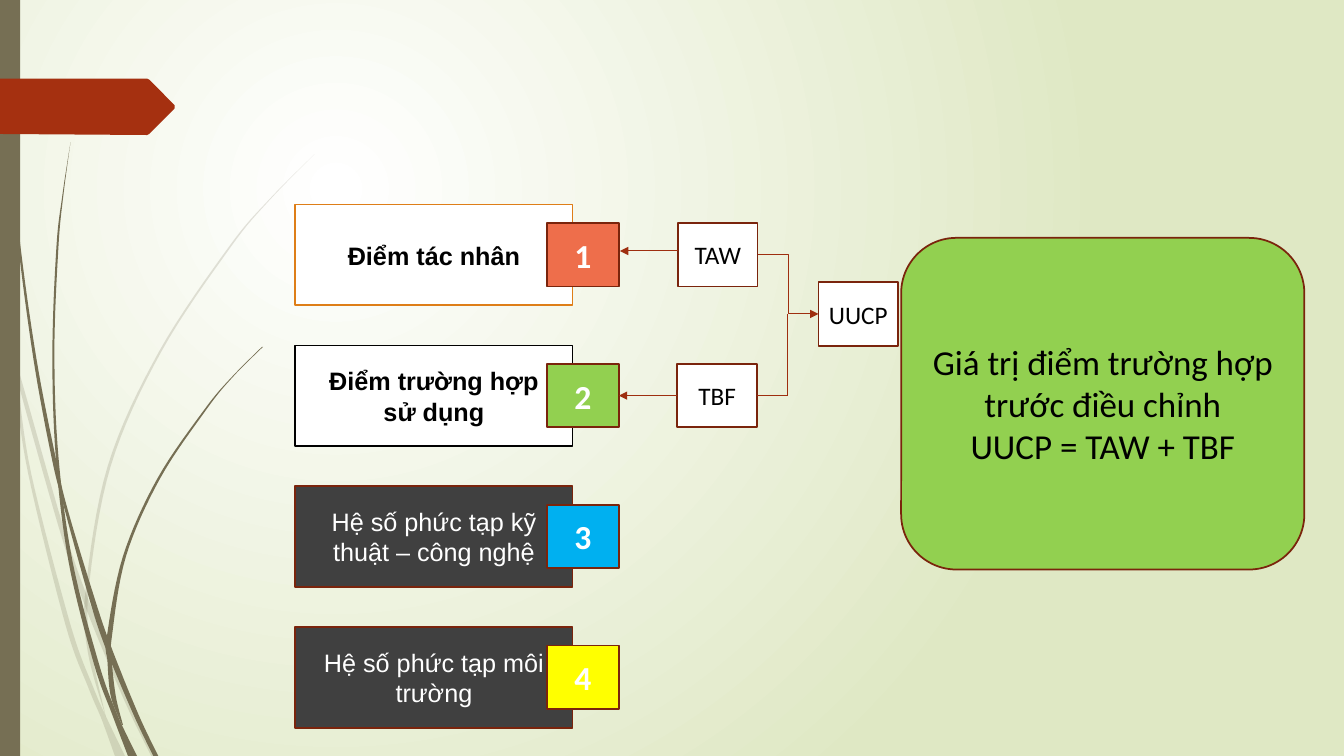
from lxml.etree import SubElement
from pptx import Presentation
from pptx.dml.color import RGBColor
from pptx.enum.shapes import MSO_CONNECTOR as LINK, MSO_SHAPE as SHAPE
from pptx.enum.text import MSO_ANCHOR as ANCHOR, PP_ALIGN as ALIGN
from pptx.oxml.ns import qn
from pptx.util import Inches, Pt

COLUMNS, ROWS = 40, 30
TOP, LEFT, BOTTOM, RIGHT = range(4)
OLIVE, RUST, MAROON, LINK_RED = "766F54", "A53010", "7A240C", "9E2E0F"
BLACK, WHITE, GREEN, CHARCOAL = "000000", "FFFFFF", "92D050", "404040"

PALE_BLADES = [
    [(11.28, 0, 0), (13.76, 0.3, 0.32), (15.04, 0.51, 0.63), (20.88, 1.74, 1.88),
     (24, 2.52, 2.69), (27.76, 3.69, 3.84), (30, 4.5, 4.65)],
    [(14, 0.33, 0.33), (15.04, 0.42, 0.51), (18.8, 0.84, 0.93), (24.8, 1.95, 2.1),
     (27.32, 2.64, 2.79), (28.56, 3.03, 3.2), (30, 3.42, 3.72)],
    [(6.12, 9.36, 9.36), (7.92, 8.01, 8.04), (9.8, 6.81, 6.87), (13.96, 4.73, 4.8),
     (18.48, 3.21, 3.3), (23.4, 2.55, 2.64), (25.84, 2.61, 2.73), (28.44, 3.15, 3.15)],
]
DARK_BLADES = [
    [(0, 0.09, 0.12), (4.4, 0.21, 0.24), (9.32, 0.51, 0.57), (14.2, 0.99, 1.08),
     (18.12, 1.53, 1.65), (20.2, 1.92, 2.01), (23.68, 2.64, 2.8), (25.64, 3.12, 3.3),
     (28.32, 3.96, 4.11), (30, 4.56, 4.71)],
    [(5.64, 2.1, 2.1), (7.72, 1.86, 1.89), (9.8, 1.68, 1.74), (13.96, 1.56, 1.62),
     (18.12, 1.66, 1.74), (22.28, 2.04, 2.16), (26.32, 2.79, 2.94), (28.32, 3.33, 3.48),
     (30, 3.81, 4.08)],
    [(13.76, 7.8, 7.83), (14.96, 6.9, 6.93), (16.24, 6.09, 6.15), (19, 4.68, 4.76),
     (22.08, 3.66, 3.75), (25.28, 3.18, 3.33), (26.24, 3.2, 3.33), (27.64, 3.3, 3.45),
     (28.76, 3.63, 3.66)],
]
TAG = [(0, 3.12), (4.38, 3.12), (4.44, 3.16), (5.2, 4.18), (5.2, 4.3),
       (4.44, 5.32), (4.38, 5.36), (0, 5.32)]

PLAIN = {"name": "Arial", "size": Pt(18), "bold": False}
STRONG = PLAIN | {"bold": True}
DIGIT = {"name": "Calibri", "size": Pt(24), "bold": True}
TERM = {"name": "Calibri", "size": Pt(18)}
RESULT = {"name": "Calibri", "size": Pt(25)}

STEPS = [
    (["Điểm tác nhân"], STRONG, BLACK, WHITE, "DE7E18", "EE6E4B"),
    (["Điểm trường hợp", "sử dụng"], STRONG, BLACK, WHITE, BLACK, GREEN),
    (["Hệ số phức tạp kỹ thuật – công nghệ"], PLAIN, WHITE, CHARCOAL, MAROON, "00B0F0"),
    (["Hệ số phức tạp môi trường"], PLAIN, WHITE, CHARCOAL, MAROON, "FFFF00"),
]


def colour(code):
    return RGBColor.from_string(code)


def smooth(points, steps=8):
    padded = [points[0], *points, points[-1]]
    curve = []
    for before, start, end, after in zip(padded, padded[1:], padded[2:], padded[3:]):
        for step in range(steps):
            t = step / steps
            curve.append(tuple(
                b + (c - a) * t / 2 + (a - 2.5 * b + 2 * c - d / 2) * t ** 2
                + (1.5 * (b - c) + (d - a) / 2) * t ** 3
                for a, b, c, d in zip(before, start, end, after)))
    return curve + [points[-1]]


class Board:
    def __init__(self, deck):
        self.column = deck.slide_width / COLUMNS
        self.row = deck.slide_height / ROWS
        self.page = deck.slides.add_slide(deck.slide_layouts[6])
        self.shapes = self.page.shapes

    def point(self, column, row):
        return round(column * self.column), round(row * self.row)

    def backdrop(self, centre, edge):
        fill = self.page.background.fill
        fill.gradient()
        for stop, code, position in zip(fill.gradient_stops, (centre, edge), (0, 1)):
            stop.color.rgb = colour(code)
            stop.position = position
        gradient = self.page.element.find(".//" + qn("a:gradFill"))
        gradient.remove(gradient.find(qn("a:lin")))
        glow = SubElement(gradient, qn("a:path"), {"path": "circle"})
        SubElement(glow, qn("a:fillToRect"),
                   {"l": "50000", "t": "50000", "r": "100000", "b": "100000"})

    def paint(self, shape, fill, line=None):
        shape.shadow.inherit = False
        shape.fill.solid()
        shape.fill.fore_color.rgb = colour(fill)
        if line:
            shape.line.color.rgb = colour(line)
            shape.line.width = Pt(1.25)
        else:
            shape.line.fill.background()
        return shape

    def outline(self, points, fill, opacity=100):
        corners = [self.point(*corner) for corner in points]
        builder = self.shapes.build_freeform(*corners[0], scale=1)
        builder.add_line_segments(corners[1:], close=True)
        shape = self.paint(builder.convert_to_shape(), fill)
        if opacity < 100:
            tint = shape.element.spPr.find(qn("a:solidFill"))[0]
            SubElement(tint, qn("a:alpha"), {"val": str(opacity * 1000)})

    def blade(self, profile, opacity):
        curve = smooth(profile)
        left = [(start, row) for row, start, _ in curve]
        right = [(end, row) for row, _, end in reversed(curve)]
        self.outline(left + right, OLIVE, opacity)

    def box(self, place, size, fill, line=None, lines=(), style=None, ink=BLACK,
            kind=SHAPE.RECTANGLE):
        box = self.shapes.add_shape(kind, *self.point(*place), *self.point(*size))
        self.paint(box, fill, line)
        frame = box.text_frame
        frame.word_wrap = True
        frame.vertical_anchor = ANCHOR.MIDDLE
        for index, text in enumerate(lines):
            para = frame.add_paragraph() if index else frame.paragraphs[0]
            para.alignment = ALIGN.CENTER
            span = para.add_run()
            span.text = text
            for name, value in style.items():
                setattr(span.font, name, value)
            span.font.color.rgb = colour(ink)
        return box

    def link(self, start, end, kind=LINK.STRAIGHT, arrow=True, origin=None, target=None):
        link = self.shapes.add_connector(kind, *self.point(*start), *self.point(*end))
        if origin:
            link.begin_connect(*origin)
        if target:
            link.end_connect(*target)
        link.line.color.rgb = colour(LINK_RED)
        link.line.width = Pt(0.75)
        if arrow:
            SubElement(link.line._get_or_add_ln(), qn("a:tailEnd"), {"type": "triangle"})
        SubElement(link.element.spPr, qn("a:effectLst"))


def main():
    deck = Presentation()
    deck.slide_width, deck.slide_height = Inches(13.33), Inches(7.5)
    board = Board(deck)
    board.backdrop(WHITE, "DFE8C4")

    for blades, opacity in ((PALE_BLADES, 20), (DARK_BLADES, 100)):
        for profile in blades:
            board.blade(profile, opacity)
    board.box((0, 0), (0.6, ROWS), OLIVE)
    board.outline(TAG, RUST)

    badges = []
    for index, (lines, style, ink, fill, line, accent) in enumerate(STEPS):
        top = 8.12 + index * 5.59
        board.box((8.79, top), (8.25, 4), fill, line, lines, style, ink)
        badges.append(board.box((16.27, top + 0.73), (2.15, 2.52), accent, MAROON,
                                [str(index + 1)], DIGIT, WHITE))

    board.box((26.82, 9.44), (12, 13.16), GREEN, MAROON,
              ["Giá trị điểm trường hợp trước điều chỉnh", "UUCP = TAW + TBF"],
              RESULT, kind=SHAPE.ROUNDED_RECTANGLE)
    actors, cases, total = (
        board.box(place, (2.37, 2.52), WHITE, MAROON, [name], TERM)
        for name, place in (("TAW", (20.18, 8.85)), ("TBF", (20.16, 14.44)),
                            ("UUCP", (24.36, 11.2))))

    board.link((20.18, 9.96), (18.45, 9.96))
    board.link((20.16, 15.7), (18.42, 15.7), origin=(cases, LEFT), target=(badges[1], RIGHT))
    board.link((22.55, 10.11), (24.36, 12.46), LINK.ELBOW,
               origin=(actors, RIGHT), target=(total, LEFT))
    board.link((22.53, 15.7), (23.45, 15.7), arrow=False, origin=(cases, RIGHT))
    board.link((23.45, 15.7), (23.45, 12.46), arrow=False)
    deck.save("out.pptx")


if __name__ == "__main__":
    main()
